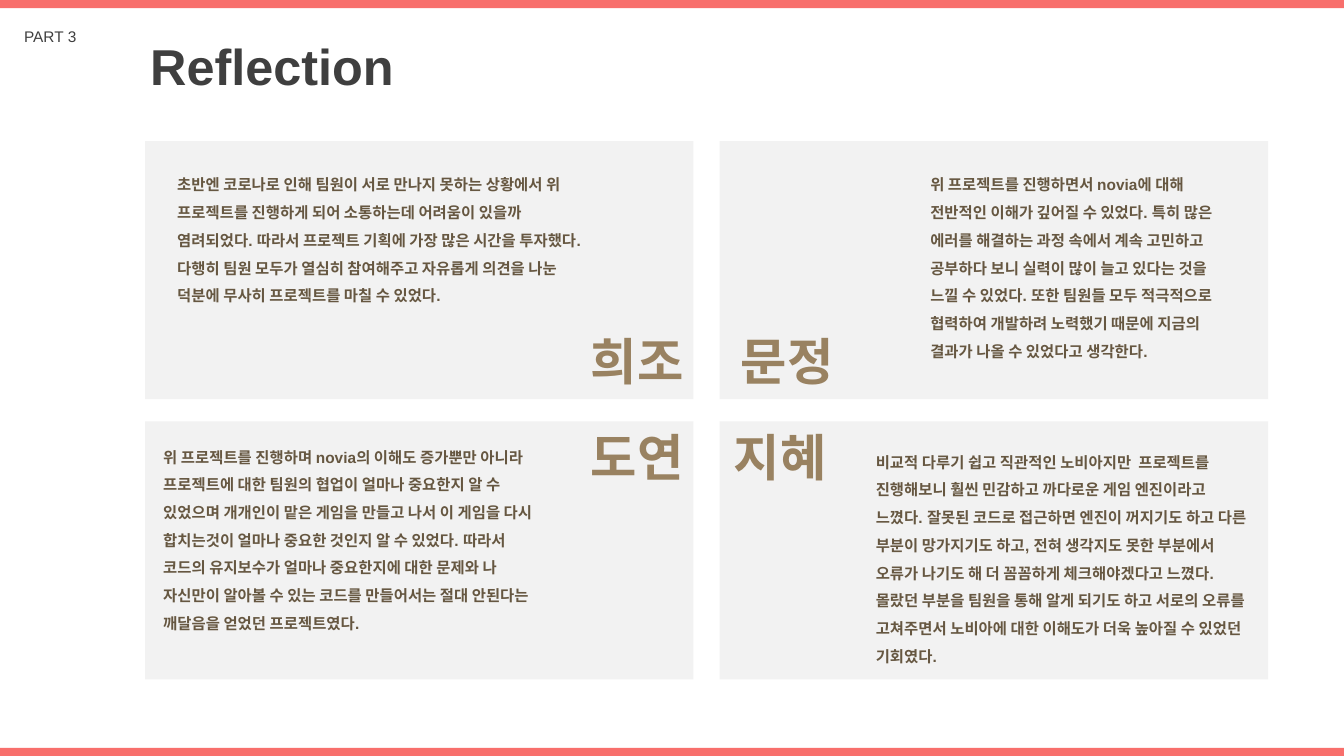
from pptx import Presentation
from pptx.dml.color import RGBColor
from pptx.enum.shapes import MSO_SHAPE
from pptx.enum.text import MSO_ANCHOR, MSO_AUTO_SIZE, PP_ALIGN
from pptx.util import Pt

CORAL = RGBColor(0xF8, 0x6F, 0x6C)
CHARCOAL = RGBColor(0x3F, 0x3F, 0x3F)
LIGHT_GRAY = RGBColor(0xF2, 0xF2, 0xF2)
TAN = RGBColor(0x99, 0x82, 0x61)
BROWN = RGBColor(0x66, 0x57, 0x41)

SLIDE_W, SLIDE_H = 960, 540
BAR_H = 5.8
GRID_X, GRID_Y = 103.7, 100.8
CARD_W, CARD_H = 391.7, 184.3
GAP_X, GAP_Y = 18.7, 15.9
NAME_W, NAME_H = 110, 51

# Name, left inset of a left-aligned name (None: right-aligned),
# then left, top, width and height of the comment within its card.
CARDS = [
    ("희조", None, (15.8, 14.4, 308.9, 107.3),
     "초반엔 코로나로 인해 팀원이 서로 만나지 못하는 상황에서 위 프로젝트를 진행하게 되어 "
     "소통하는데 어려움이 있을까 염려되었다. 따라서 프로젝트 기획에 가장 많은 시간을 "
     "투자했다. 다행히 팀원 모두가 열심히 참여해주고 자유롭게 의견을 나눈 덕분에 무사히 "
     "프로젝트를 마칠 수 있었다."),
    ("문정", 7.9, (143.3, 14.4, 231.1, 160.6),
     "위 프로젝트를 진행하면서 novia에 대해 전반적인 이해가 깊어질 수 있었다. 특히 많은 "
     "에러를 해결하는 과정 속에서 계속 고민하고 공부하다 보니 실력이 많이 늘고 있다는 것을 "
     "느낄 수 있었다. 또한 팀원들 모두 적극적으로 협력하여 개발하려 노력했기 때문에 지금의 "
     "결과가 나올 수 있었다고 생각한다."),
    ("도연", None, (5.8, 8.6, 281.5, 160.6),
     "위 프로젝트를 진행하며 novia의 이해도 증가뿐만 아니라 프로젝트에 대한 팀원의 협업이 "
     "얼마나 중요한지 알 수 있었으며 개개인이 맡은 게임을 만들고 나서 이 게임을 다시 "
     "합치는것이 얼마나 중요한 것인지 알 수 있었다. 따라서 코드의 유지보수가 얼마나 "
     "중요한지에 대한 문제와 나 자신만이 알아볼 수 있는 코드를 만들어서는 절대 안된다는 "
     "깨달음을 얻었던 프로젝트였다."),
    ("지혜", 2.9, (104.4, 12.2, 281.5, 160.6),
     "비교적 다루기 쉽고 직관적인 노비아지만  프로젝트를 진행해보니 훨씬 민감하고 까다로운 "
     "게임 엔진이라고 느꼈다. 잘못된 코드로 접근하면 엔진이 꺼지기도 하고 다른 부분이 "
     "망가지기도 하고, 전혀 생각지도 못한 부분에서 오류가 나기도 해 더 꼼꼼하게 "
     "체크해야겠다고 느꼈다. 몰랐던 부분을 팀원을 통해 알게 되기도 하고 서로의 오류를 "
     "고쳐주면서 노비아에 대한 이해도가 더욱 높아질 수 있었던 기회였다."),
]


def add_rect(slide, x, y, w, h, color):
    sp = slide.shapes.add_shape(MSO_SHAPE.RECTANGLE, Pt(x), Pt(y), Pt(w), Pt(h))
    sp.shadow.inherit = False
    sp.fill.solid()
    sp.fill.fore_color.rgb = color
    sp.line.fill.background()


def write(sp, text, size, color, bold=True, align=PP_ALIGN.LEFT, spacing=1.0):
    tf = sp.text_frame
    tf.word_wrap = True
    tf.auto_size = MSO_AUTO_SIZE.NONE
    tf.vertical_anchor = MSO_ANCHOR.TOP
    p = tf.paragraphs[0]
    p.text = text
    p.alignment = align
    p.line_spacing = spacing
    p.font.name = "Arial"
    p.font.size = Pt(size)
    p.font.bold = bold
    p.font.color.rgb = color


def add_text(slide, x, y, w, h, *args, **style):
    sp = slide.shapes.add_textbox(Pt(x), Pt(y), Pt(w), Pt(h))
    write(sp, *args, **style)


def add_header(slide, x, y):
    title = slide.shapes.title
    title.left, title.top = Pt(x + 90), Pt(y + 5.8)
    title.width, title.height = Pt(473), Pt(51)
    write(title, "Reflection", 36, CHARCOAL)
    add_text(slide, x, y, 90, 21, "PART 3", 11, CHARCOAL, bold=False)


def add_card(slide, x, y, name_at_bottom, name, name_inset, comment_box, comment):
    add_rect(slide, x, y, CARD_W, CARD_H, LIGHT_GRAY)
    name_y = y + CARD_H - NAME_H - 2 if name_at_bottom else y
    if name_inset is None:
        name_x, align = x + CARD_W - NAME_W, PP_ALIGN.RIGHT
    else:
        name_x, align = x + name_inset, PP_ALIGN.LEFT
    add_text(slide, name_x, name_y, NAME_W, NAME_H, name, 36, TAN, align=align)
    dx, dy, w, h = comment_box
    add_text(slide, x + dx, y + dy, w, h, comment, 11, BROWN, spacing=1.5)


def add_card_grid(slide, x, y):
    for i, card in enumerate(CARDS):
        row, col = divmod(i, 2)
        add_card(slide, x + col * (CARD_W + GAP_X), y + row * (CARD_H + GAP_Y),
                 row == 0, *card)


def main():
    prs = Presentation()
    prs.slide_width, prs.slide_height = Pt(SLIDE_W), Pt(SLIDE_H)
    slide = prs.slides.add_slide(prs.slide_layouts[5])
    for y in (0, SLIDE_H - BAR_H):
        add_rect(slide, 0, y, SLIDE_W, BAR_H, CORAL)
    add_header(slide, 10.1, 15.8)
    add_card_grid(slide, GRID_X, GRID_Y)
    prs.save("out.pptx")


if __name__ == "__main__":
    main()
